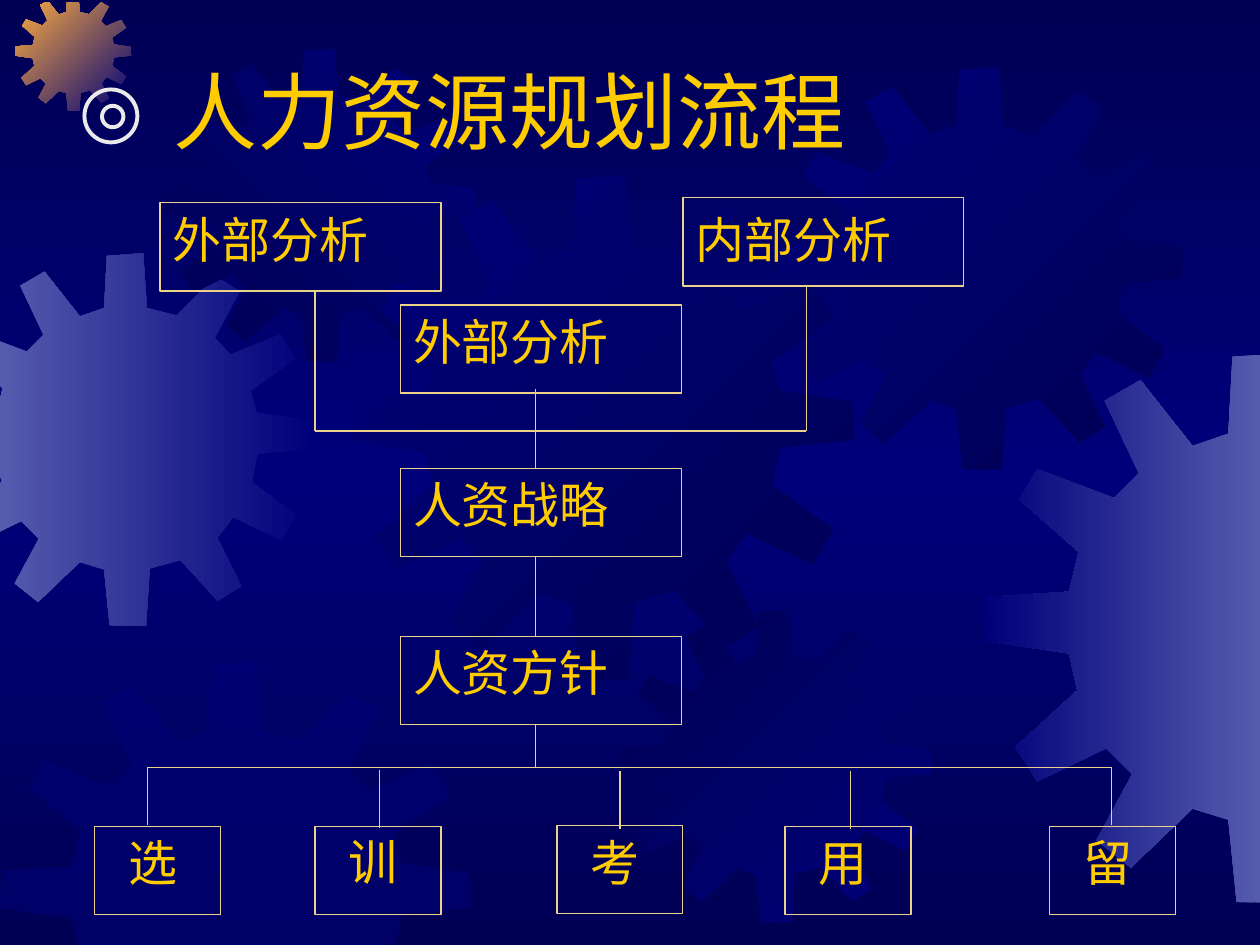
from typing import NamedTuple

from lxml import etree
from pptx import Presentation
from pptx import util as u
from pptx.dml.color import RGBColor
from pptx.enum import shapes, text
from pptx.oxml.ns import qn

NAVY, BLUE, LILAC, ORANGE = "000054", "00007A", "555BAD", "FCAB40"
GOLD, SAND, SILVER = "FFCC00", "EBD189", "EAEAEA"
FONT = "Times New Roman"
WIDTH, HEIGHT = 10, 7.5

# Outline of a twelve-toothed gear on a 401-unit square
GEAR_UNITS = 401
GEAR_OUTLINE = [
    (255, 67), (223, 59), (219, 0), (180, 3), (177, 59), (151, 68),
    (113, 20), (87, 35), (112, 88), (94, 106), (38, 85), (25, 107),
    (68, 145), (61, 174), (1, 178), (0, 210), (61, 219), (67, 246),
    (22, 287), (38, 312), (88, 288), (107, 307), (81, 355), (106, 375),
    (151, 332), (177, 340), (183, 400), (222, 401), (226, 339), (259, 330),
    (299, 374), (325, 358), (299, 306), (316, 284), (368, 309), (384, 281),
    (336, 246), (342, 216), (401, 210), (400, 180), (341, 171), (335, 148),
    (383, 114), (367, 87), (313, 109), (296, 91), (323, 41), (297, 25),
]


class Gear(NamedTuple):
    left: float
    top: float
    size: float
    start: str
    end: str
    angle: int


class Step(NamedTuple):
    label: str
    left: float
    top: float
    width: float = 2.23
    inset_left: float = 0.1
    inset_top: float = 0.05


class Line(NamedTuple):
    x1: float
    y1: float
    x2: float
    y2: float


GEARS = [
    Gear(-0.48, 2.01, 2.96, BLUE, LILAC, 180),
    Gear(0.12, -0.04, 0.92, BLUE, ORANGE, 225),
    Gear(1.3, 0.39, 2.48, BLUE, NAVY, 135),
    Gear(2.77, 1.39, 4.01, NAVY, BLUE, 225),
    Gear(0, 5.25, 3.74, BLUE, BLUE, 0),
    Gear(4.91, 4.84, 2.48, BLUE, NAVY, 225),
    Gear(6.18, 0.53, 3.2, NAVY, BLUE, 225),
    Gear(7.82, 2.8, 4.37, LILAC, BLUE, 180),
]
PALE_GEAR = GEARS[4]

STEPS = [
    Step("外部分析", 1.27, 1.61),
    Step("内部分析", 5.42, 1.57, inset_top=0.09),
    Step("外部分析", 3.18, 2.42),
    Step("人资战略", 3.18, 3.72),
    Step("人资方针", 3.18, 5.05),
] + [
    Step(label, left, top, 1, 0.27, inset_top)
    for label, left, top, inset_top in [
        ("选", 0.75, 6.56, 0.05), ("训", 2.5, 6.56, 0.04),
        ("考", 4.42, 6.55, 0.06), ("用", 6.23, 6.56, 0.05),
        ("留", 8.33, 6.56, 0.05)]
]

LINES = [
    # Bus and drops to the five functions
    Line(1.17, 6.09, 8.82, 6.09),
    *(Line(x, y, x, y + 0.46) for x, y in [
        (1.17, 6.09), (3.01, 6.11), (4.92, 6.12), (6.75, 6.12), (8.82, 6.09)]),
    # Central spine
    *(Line(4.25, top, 4.25, bottom) for top, bottom in [
        (5.75, 6.09), (4.42, 5.05), (3.09, 3.72)]),
    # Bracket under the two outer analyses
    Line(2.5, 2.31, 2.5, 3.42),
    Line(2.5, 3.42, 6.4, 3.42),
    Line(6.4, 2.28, 6.4, 3.42),
]


def rgb(value: str) -> RGBColor:
    return RGBColor.from_string(value)


def set_gradient(fill, element, colours: list[str], angle: int) -> None:
    """Spread the colours evenly; the angle runs clockwise."""
    fill.gradient()
    fill.gradient_angle = (360 - angle) % 360
    stops = element.find(".//" + qn("a:gsLst"))
    for stop in list(stops):
        stops.remove(stop)
    for index, colour in enumerate(colours):
        position = 100000 * index // (len(colours) - 1)
        stop = etree.SubElement(stops, qn("a:gs"), pos=str(position))
        etree.SubElement(stop, qn("a:srgbClr"), val=colour)


def clip(points: list, axis: int, limit: float, sign: int) -> list:
    """Keep the part of a polygon on one side of a slide edge."""
    kept = []
    for before, after in zip(points[-1:] + points[:-1], points):
        gap_before = sign * (before[axis] - limit)
        gap_after = sign * (after[axis] - limit)
        if gap_before * gap_after < 0:
            share = gap_before / (gap_before - gap_after)
            kept.append(tuple(a + share * (b - a) for a, b in zip(before, after)))
        if gap_after >= 0:
            kept.append(after)
    return kept


def add_gear(page, gear: Gear):
    scale = gear.size / GEAR_UNITS
    points = [(gear.left + x * scale, gear.top + y * scale) for x, y in GEAR_OUTLINE]
    for axis, limit, sign in [(0, 0, 1), (0, WIDTH, -1), (1, 0.02, 1), (1, HEIGHT, -1)]:
        points = clip(points, axis, limit, sign)
    points = [(u.Inches(x), u.Inches(y)) for x, y in points]
    builder = page.shapes.build_freeform(*points[0])
    builder.add_line_segments(points[1:], close=True)
    shape = builder.convert_to_shape()
    shape.shadow.inherit = False
    shape.line.fill.background()
    if gear is PALE_GEAR:
        shape.fill.solid()
        shape.fill.fore_color.rgb = rgb(gear.start)
        colour = shape._element.spPr.find(".//" + qn("a:srgbClr"))
        etree.SubElement(colour, qn("a:alpha"), val="50000")
    else:
        set_gradient(shape.fill, shape._element, [gear.start, gear.end], gear.angle)


def add_outline(page, kind, left: float, top: float, width: float, height: float,
                colour: str, weight: float):
    shape = page.shapes.add_shape(kind, *map(u.Inches, (left, top, width, height)))
    shape.shadow.inherit = False
    shape.fill.background()
    shape.line.color.rgb = rgb(colour)
    shape.line.width = u.Pt(weight)
    return shape


def write(shape, label: str, size: int, inset_left: float = 0.1, inset_top: float = 0.05):
    frame = shape.text_frame
    frame.text = label
    frame.word_wrap = True
    frame.vertical_anchor = text.MSO_ANCHOR.TOP
    frame.margin_left, frame.margin_top = u.Inches(inset_left), u.Inches(inset_top)
    frame.margin_right, frame.margin_bottom = u.Inches(0.1), u.Inches(0.05)
    para = frame.paragraphs[0]
    para.alignment = text.PP_ALIGN.LEFT
    font = para.runs[0].font
    font.name, font.size, font.color.rgb = FONT, u.Pt(size), rgb(GOLD)


def add_step(page, step: Step):
    box = add_outline(page, shapes.MSO_SHAPE.RECTANGLE, step.left, step.top,
                      step.width, 0.7, SAND, 0.75)
    write(box, step.label, 28, step.inset_left, step.inset_top)


def add_line(page, line: Line):
    connector = page.shapes.add_connector(
        shapes.MSO_CONNECTOR.STRAIGHT, *map(u.Inches, line))
    connector.line.color.rgb = rgb(SAND)
    connector.line.width = u.Pt(0.75)
    etree.SubElement(connector._element.spPr, qn("a:effectLst"))


def main() -> None:
    deck = Presentation()
    deck.slide_width, deck.slide_height = u.Inches(WIDTH), u.Inches(HEIGHT)
    page = deck.slides.add_slide(deck.slide_layouts[5])

    # Background and gears
    set_gradient(page.background.fill, page._element, [NAVY, BLUE, NAVY], 90)
    for gear in GEARS:
        add_gear(page, gear)

    # Title, brought in front of the gears, with its ring marker
    title = page.shapes.title
    page.shapes._spTree.append(title._element)
    title.left, title.top = u.Inches(1.28), u.Inches(0.42)
    title.width, title.height = u.Inches(5.97), u.Inches(0.9)
    write(title, "人力资源规划流程", 48)
    for left, top, size in [(0.67, 0.71, 0.42), (0.81, 0.84, 0.17)]:
        add_outline(page, shapes.MSO_SHAPE.OVAL, left, top, size, size, SILVER, 2.25)

    # Flow chart
    for step in STEPS:
        add_step(page, step)
    for line in LINES:
        add_line(page, line)

    deck.save("out.pptx")


if __name__ == "__main__":
    main()
